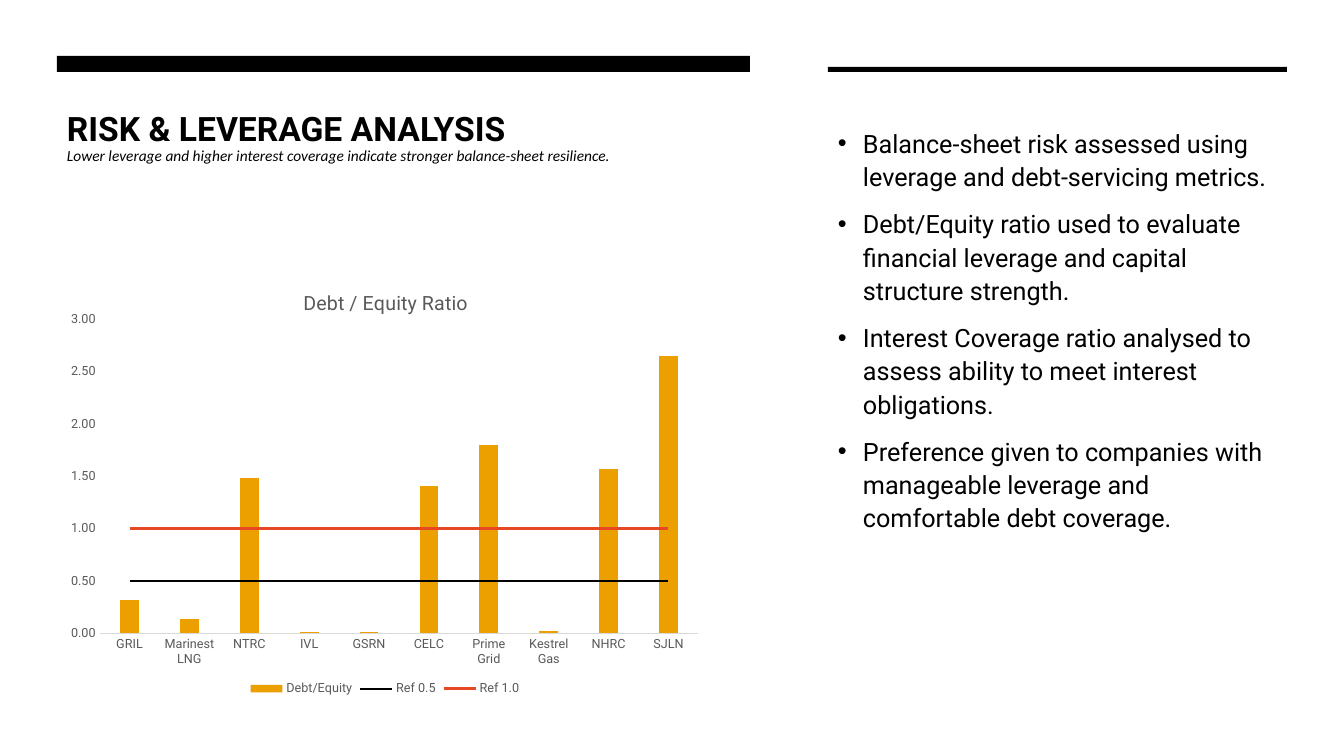
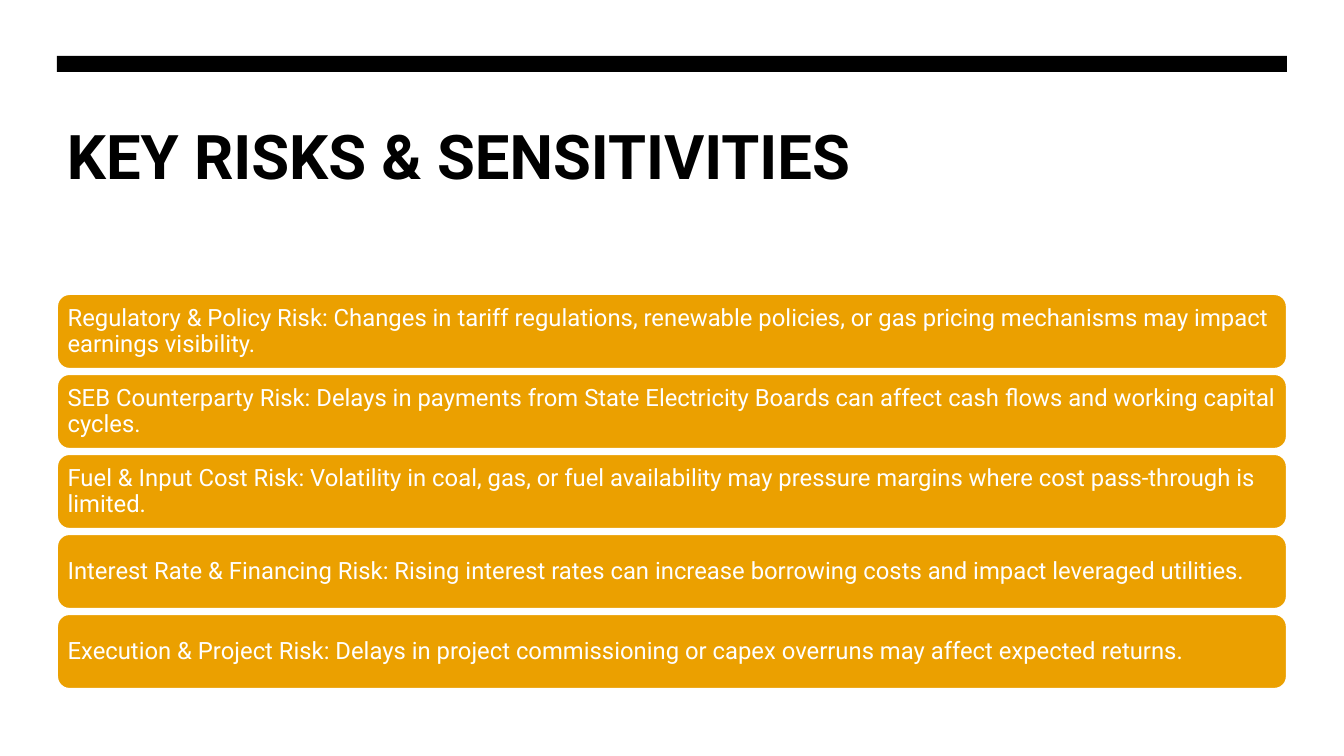
from pptx import Presentation
from pptx.chart.data import CategoryChartData
from pptx.dml.color import RGBColor
from pptx.enum import chart as kinds, shapes, text
from pptx.oxml import parse_xml
from pptx.oxml.ns import nsdecls, qn
from pptx.util import Emu, Pt

SCALE = 914400 / 100.8
WIDE, HIGH = 1344, 756
LEFT, TOP, FULL = 57, 56, 1230
INK, PAPER, GOLD, RED = "000000", "FFFFFF", "EBA000", "E64823"
GREY, PALE = "595959", "D9D9D9"
FACE = "Roboto"

POINTS = [
    "Balance-sheet risk assessed using leverage and debt-servicing metrics.",
    "Debt/Equity ratio used to evaluate financial leverage and capital structure strength.",
    "Interest Coverage ratio analysed to assess ability to meet interest obligations.",
    "Preference given to companies with manageable leverage and comfortable debt coverage.",
]
RATIOS = {
    "GRIL": 0.32, "Marinest LNG": 0.14, "NTRC": 1.48, "IVL": 0.01, "GSRN": 0.01,
    "CELC": 1.41, "Prime Grid": 1.8, "Kestrel Gas": 0.02, "NHRC": 1.57, "SJLN": 2.65,
}
# Reference level: colour and line width
LEVELS = {0.5: (INK, 1.5), 1.0: (RED, 2.25)}
RISKS = [
    "Regulatory & Policy Risk: Changes in tariff regulations, renewable policies, "
    "or gas pricing mechanisms may impact earnings visibility.",
    "SEB Counterparty Risk: Delays in payments from State Electricity Boards can "
    "affect cash flows and working capital cycles.",
    "Fuel & Input Cost Risk: Volatility in coal, gas, or fuel availability may "
    "pressure margins where cost pass-through is limited.",
    "Interest Rate & Financing Risk: Rising interest rates can increase borrowing "
    "costs and impact leveraged utilities.",
    "Execution & Project Risk: Delays in project commissioning or capex overruns "
    "may affect expected returns.",
]


def px(value):
    return Emu(round(value * SCALE))


def paint(code):
    return RGBColor.from_string(code)


def style(font, size, color=INK, face=FACE, bold=False, italic=False):
    font.size, font.name = Pt(size), face
    font.bold, font.italic = bold, italic
    font.color.rgb = paint(color)


def write(frame, lines, pad=(10, 5), anchor=text.MSO_ANCHOR.TOP,
          spacing=1.0, before=0, bullet=None, **look):
    """Fill a frame with one paragraph for each line."""
    frame.word_wrap = True
    frame.vertical_anchor = anchor
    frame.margin_left = frame.margin_right = px(pad[0])
    frame.margin_top = frame.margin_bottom = px(pad[1])
    for i, line in enumerate(lines):
        para = frame.paragraphs[0] if i == 0 else frame.add_paragraph()
        para.alignment = text.PP_ALIGN.LEFT
        para.line_spacing = spacing
        para.space_before = Pt(before if i else 0)
        if bullet:
            props = para._p.get_or_add_pPr()
            props.set("marL", str(px(25)))
            props.set("indent", str(-px(25)))
            props.append(parse_xml(f'<a:buFont {nsdecls("a")} typeface="Arial"/>'))
            props.append(parse_xml(f'<a:buChar {nsdecls("a")} char="{bullet}"/>'))
        run = para.add_run()
        run.text = line
        style(run.font, **look)


def label(slide, box, lines, **form):
    write(slide.shapes.add_textbox(*map(px, box)).text_frame, lines, **form)


def block(slide, box, fill=INK, line=None, kind=shapes.MSO_SHAPE.RECTANGLE):
    shape = slide.shapes.add_shape(kind, *map(px, box))
    shape.shadow.inherit = False
    shape.fill.solid()
    shape.fill.fore_color.rgb = paint(fill)
    if line:
        shape.line.color.rgb = paint(line)
        shape.line.width = Pt(1.5)
    else:
        shape.line.fill.background()
    return shape


def heading(slide, width, title, size, drop=0, note=None):
    """Black band with the title below it."""
    block(slide, (LEFT, TOP, width, 16))
    label(slide, (LEFT, TOP + 52 + drop, width, 50), [title],
          size=size, bold=True, spacing=0.9 if note else 1.0)
    if note:
        label(slide, (LEFT, TOP + 87, width, 28), [note],
              size=11, face="Calibri", italic=True, spacing=0.9)


def place(anchor, **sides):
    """Set a manual chart layout just before the anchor element."""
    for old in anchor.getparent().findall(qn("c:layout")):
        old.getparent().remove(old)
    inner = '<c:layoutTarget val="inner"/>' if "w" in sides else ""
    modes = "".join(f'<c:{k}Mode val="edge"/>' for k in "xy")
    sizes = "".join(f'<c:{k} val="{v}"/>' for k, v in sides.items())
    anchor.addprevious(parse_xml(
        f'<c:layout {nsdecls("c")}><c:manualLayout>{inner}{modes}{sizes}'
        '</c:manualLayout></c:layout>'))


def split(bars):
    """Move every series after the first from columns to lines."""
    lines = parse_xml(
        f'<c:lineChart {nsdecls("c")}><c:grouping val="standard"/>'
        '<c:varyColors val="0"/><c:marker val="1"/></c:lineChart>')
    for ser in bars.findall(qn("c:ser"))[1:]:
        for flag in ser.findall(qn("c:invertIfNegative")):
            ser.remove(flag)
        lines.find(qn("c:marker")).addprevious(ser)
    for axis in bars.findall(qn("c:axId")):
        lines.append(parse_xml(f'<c:axId {nsdecls("c")} val="{axis.get("val")}"/>'))
    bars.addnext(lines)


def graph(slide, box):
    data = CategoryChartData(number_format="0.00")
    data.categories = list(RATIOS)
    data.add_series("Debt/Equity", list(RATIOS.values()))
    for level in LEVELS:
        data.add_series(f"Ref {level}", [level] * len(RATIOS))
    chart = slide.shapes.add_chart(
        kinds.XL_CHART_TYPE.COLUMN_CLUSTERED, *map(px, box), data).chart
    style(chart.font, 10)

    # Title and legend
    chart.has_title = True
    title = chart.chart_title
    run = title.text_frame.paragraphs[0].add_run()
    run.text = "Debt / Equity Ratio"
    style(run.font, 14, GREY)
    title.include_in_layout = False
    place(title._element.find(qn("c:overlay")), x=0.37, y=0.04)
    chart.has_legend = True
    chart.legend.position = kinds.XL_LEGEND_POSITION.BOTTOM
    chart.legend.include_in_layout = False
    style(chart.legend.font, 9, GREY)

    # Axes
    for axis in (chart.category_axis, chart.value_axis):
        axis.has_major_gridlines = False
        axis.major_tick_mark = axis.minor_tick_mark = kinds.XL_TICK_MARK.NONE
        style(axis.tick_labels.font, 9, GREY)
    chart.category_axis.format.line.color.rgb = paint(PALE)
    chart.category_axis.format.line.width = Pt(0.75)
    scale = chart.value_axis
    scale.format.line.fill.background()
    scale.minimum_scale, scale.maximum_scale, scale.major_unit = 0, 3, 0.5
    scale.tick_labels.number_format = "0.00"
    scale.tick_labels.number_format_is_linked = False

    # Columns with reference lines over them
    plot = chart.plots[0]
    plot.vary_by_categories = False
    plot.gap_width, plot.overlap = 219, -27
    bars = plot._element
    place(bars, x=0.065, y=0.119, w=0.913, h=0.727)
    split(bars)
    fill = plot.series[0].format.fill
    fill.solid()
    fill.fore_color.rgb = paint(GOLD)
    for ser, (color, width) in zip(chart.plots[1].series, LEVELS.values()):
        ser.format.line.color.rgb = paint(color)
        ser.format.line.width = Pt(width)
        ser.marker.style = kinds.XL_MARKER_STYLE.NONE
        ser.smooth = False


def aside(slide, box):
    """Thin rule with bullet points below it."""
    left, top, width, height = box
    block(slide, (left, top, width, 5))
    label(slide, (left, top + 53, width, height - 53), POINTS,
          size=18, spacing=1.1, before=10, bullet="•")


def stack(slide, box, pitch=80):
    """Equal rounded bars, one for each risk."""
    left, top, width, height = box
    for i, risk in enumerate(RISKS):
        bar = block(slide, (left, top + i * pitch, width, height), GOLD, PAPER,
                    shapes.MSO_SHAPE.ROUNDED_RECTANGLE)
        write(bar.text_frame, [risk], pad=(7, 7), spacing=0.9,
              anchor=text.MSO_ANCHOR.MIDDLE, size=17, color=PAPER)


def leverage(slide):
    heading(slide, 693, "RISK & LEVERAGE ANALYSIS", 24,
            note="Lower leverage and higher interest coverage indicate "
                 "stronger balance-sheet resilience.")
    graph(slide, (LEFT, 268, 656, 432))
    aside(slide, (828, 67, 459, 633))


def risks(slide):
    heading(slide, FULL, "KEY RISKS & SENSITIVITIES", 44, drop=5)
    stack(slide, (LEFT, 294, FULL, 75))


def main():
    deck = Presentation()
    deck.slide_width, deck.slide_height = px(WIDE), px(HIGH)
    for build in (leverage, risks):
        build(deck.slides.add_slide(deck.slide_layouts[6]))
    deck.save("out.pptx")


if __name__ == "__main__":
    main()
